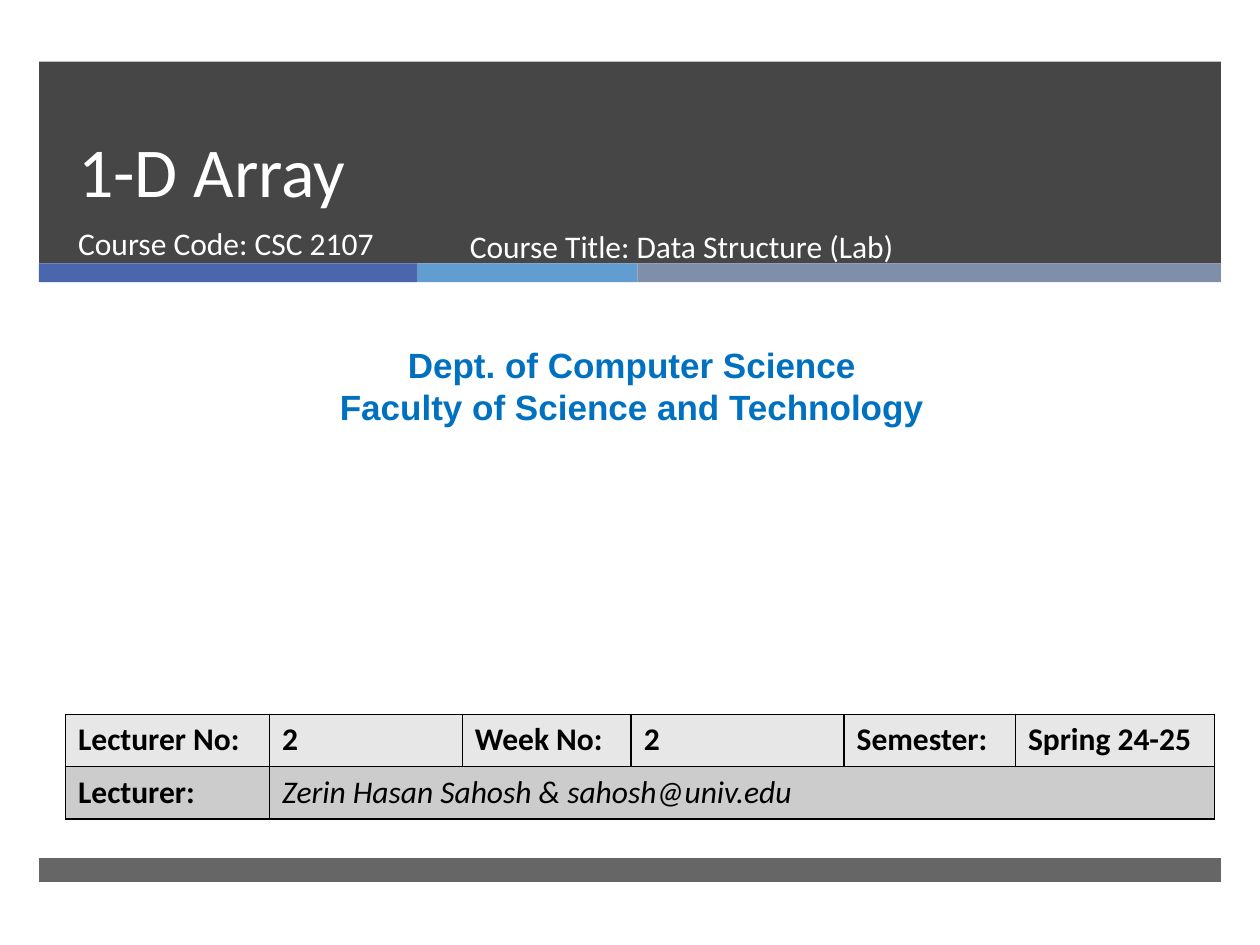
import pptx
import pptx.dml.color
import pptx.enum.shapes
import pptx.enum.text
import pptx.oxml
import pptx.oxml.ns
import pptx.util
from lxml import etree

Inches, Pt = pptx.util.Inches, pptx.util.Pt
ALIGN = pptx.enum.text.PP_ALIGN
ANCHOR = pptx.enum.text.MSO_ANCHOR
WIDTH, HEIGHT = 10, 7.5
FRAME_LEFT, FRAME_WIDTH = 0.31, 9.38
STRIPES = [(3, "4A66AC"), (1.75, "629DD1"), (4.63, "7F8FA9")]
COLUMN_SHARES = [1.62, 1.53, 1.34, 1.69, 1.36, 1.58]
DETAILS = [
    ["Lecturer No:", "2", "Week No:", "2", "Semester:", "Spring 24-25"],
    ["Lecturer:", "Zerin Hasan Sahosh & sahosh@univ.edu"],
]
ROW_FILLS = ["E7E7E7", "CCCCCC"]


def colour(hex_string):
    return pptx.dml.color.RGBColor.from_string(hex_string)


def place(shape, box):
    shape.left, shape.top, shape.width, shape.height = map(Inches, box)


def add_bar(slide, box, fill, opacity=100):
    bar = slide.shapes.add_shape(
        pptx.enum.shapes.MSO_SHAPE.RECTANGLE, *map(Inches, box))
    bar.shadow.inherit = False
    bar.fill.solid()
    bar.fill.fore_color.rgb = colour(fill)
    bar.line.fill.background()
    if opacity < 100:
        tint = bar.element.find(".//" + pptx.oxml.ns.qn("a:srgbClr"))
        alpha = etree.SubElement(tint, pptx.oxml.ns.qn("a:alpha"))
        alpha.set("val", str(opacity * 1000))


def write(frame, lines, size, hex_string, font="Calibri", align=ALIGN.LEFT,
          bold=False, italic=False):
    frame.word_wrap = True
    frame.text = "\n".join(lines)
    for paragraph in frame.paragraphs:
        paragraph.alignment = align
        paragraph.space_before = Pt(0)
        paragraph.font.name = font
        paragraph.font.size = Pt(size)
        paragraph.font.bold = bold
        paragraph.font.italic = italic
        paragraph.font.color.rgb = colour(hex_string)


def add_banner(slide, box):
    left, top, width, height = box
    add_bar(slide, box, "262626", 85)
    total = sum(share for share, _ in STRIPES)
    for share, fill in STRIPES:
        stripe = width * share / total
        add_bar(slide, (left, top + height, stripe, 0.15), fill)
        left += stripe

    left = box[0] + 0.21
    title, course_code = slide.placeholders
    placements = [(title, (left, top + 0.05, 8.54, 1.19)),
                  (course_code, (left, top + 1.24, 3.05, 0.53))]
    for holder, area in placements:
        place(holder, area)
        slide.shapes.element.append(holder.element)
        holder.text_frame.auto_size = pptx.enum.text.MSO_AUTO_SIZE.NONE
    write(title.text_frame, ["1-D Array"], 40, "FFFFFF")
    title.text_frame.vertical_anchor = ANCHOR.BOTTOM
    title.text_frame.paragraphs[0].line_spacing = Pt(46)
    write(course_code.text_frame, ["Course Code: CSC 2107"], 18, "FFFFFF")
    course_code.text_frame.vertical_anchor = ANCHOR.TOP

    course_title = slide.shapes.add_textbox(
        *map(Inches, (box[0] + 3.32, top + 1.26, 4.55, 0.53)))
    write(course_title.text_frame, ["Course Title: Data Structure (Lab)"],
          18, "FFFFFF")


def add_department(slide, box):
    department = slide.shapes.add_textbox(*map(Inches, box))
    write(department.text_frame,
          ["Dept. of Computer Science", "Faculty of Science and Technology"],
          20, "0070C0", "Arial", ALIGN.CENTER, bold=True)


def outline(cell):
    properties = cell._tc.get_or_add_tcPr()
    for side in ("lnL", "lnR", "lnT", "lnB"):
        properties.append(pptx.oxml.parse_xml(
            f'<a:{side} {pptx.oxml.ns.nsdecls("a")} w="{Pt(1)}"><a:solidFill>'
            f'<a:srgbClr val="000000"/></a:solidFill></a:{side}>'))


def add_details(slide, box):
    details = slide.shapes.add_table(
        len(DETAILS), len(COLUMN_SHARES), *map(Inches, box)).table
    for column, share in zip(details.columns, COLUMN_SHARES):
        column.width = Inches(box[2] * share / sum(COLUMN_SHARES))
    details.cell(1, 1).merge(details.cell(1, len(COLUMN_SHARES) - 1))
    for row, (entries, fill) in enumerate(zip(DETAILS, ROW_FILLS)):
        for column in range(len(COLUMN_SHARES)):
            cell = details.cell(row, column)
            outline(cell)
            cell.fill.solid()
            cell.fill.fore_color.rgb = colour(fill)
            if column < len(entries):
                contact = (row, column) == (1, 1)
                write(cell.text_frame, [entries[column]], 18, "000000",
                      bold=not contact, italic=contact)


def main():
    deck = pptx.Presentation()
    deck.slide_width, deck.slide_height = Inches(WIDTH), Inches(HEIGHT)
    slide = deck.slides.add_slide(deck.slide_layouts[0])
    add_banner(slide, (FRAME_LEFT, 0.49, FRAME_WIDTH, 1.6))
    add_bar(slide, (FRAME_LEFT, 6.81, FRAME_WIDTH, 0.19), "262626", 70)
    add_department(slide, (0.08, 2.68, 9.87, 0.77))
    add_details(slide, (0.52, 5.67, 9.12, 0.83))
    deck.save("out.pptx")


if __name__ == "__main__":
    main()
